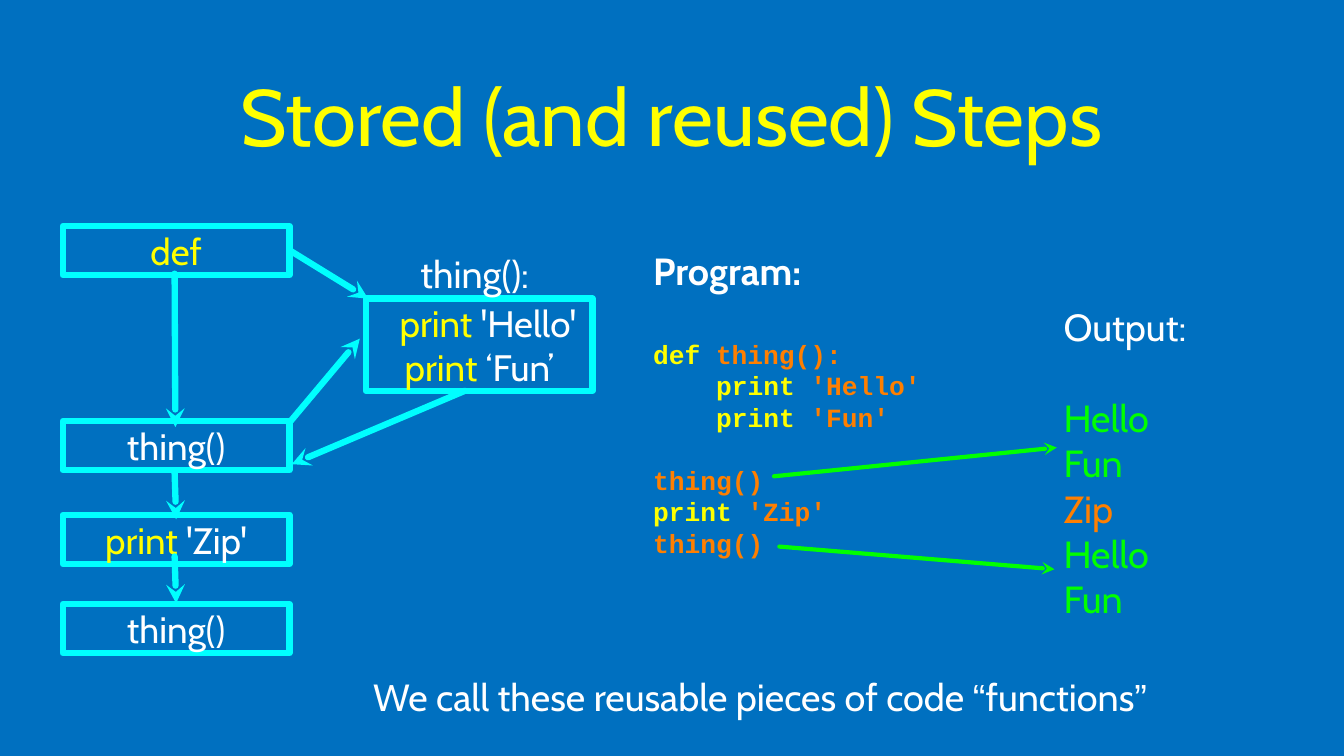
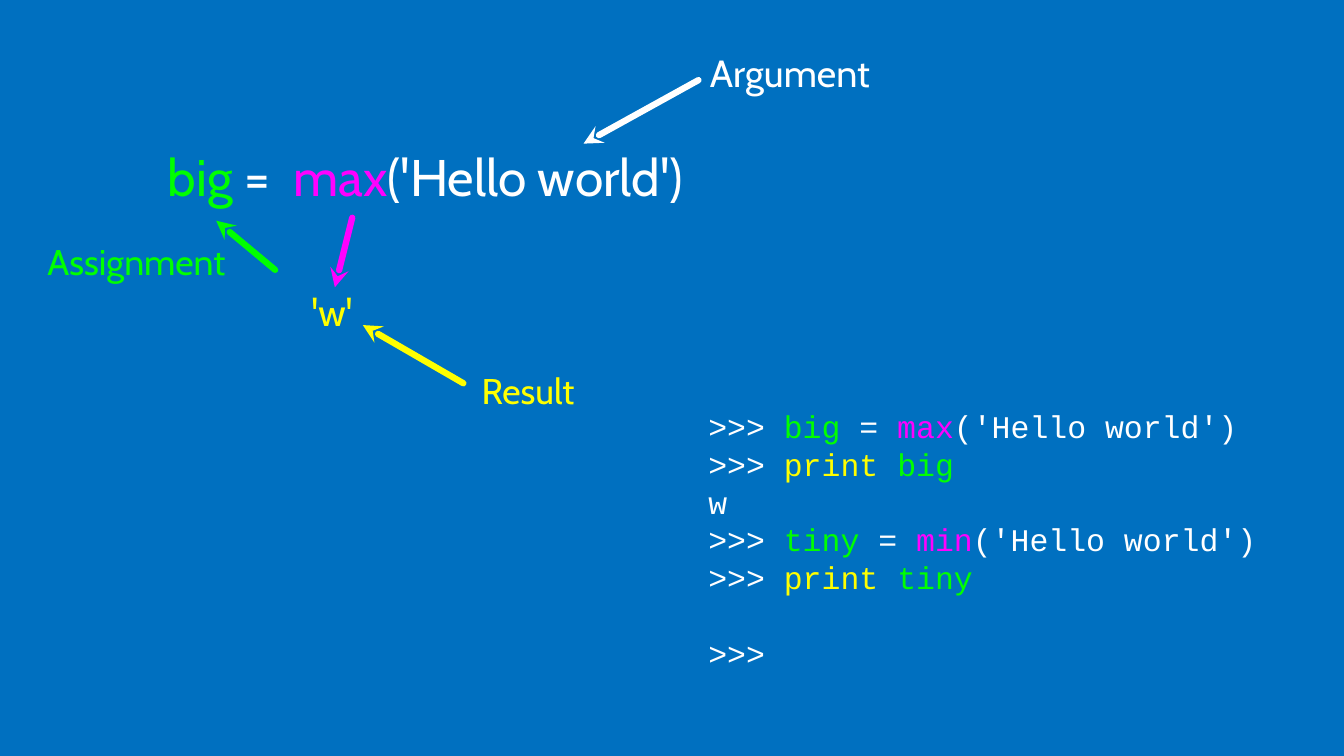
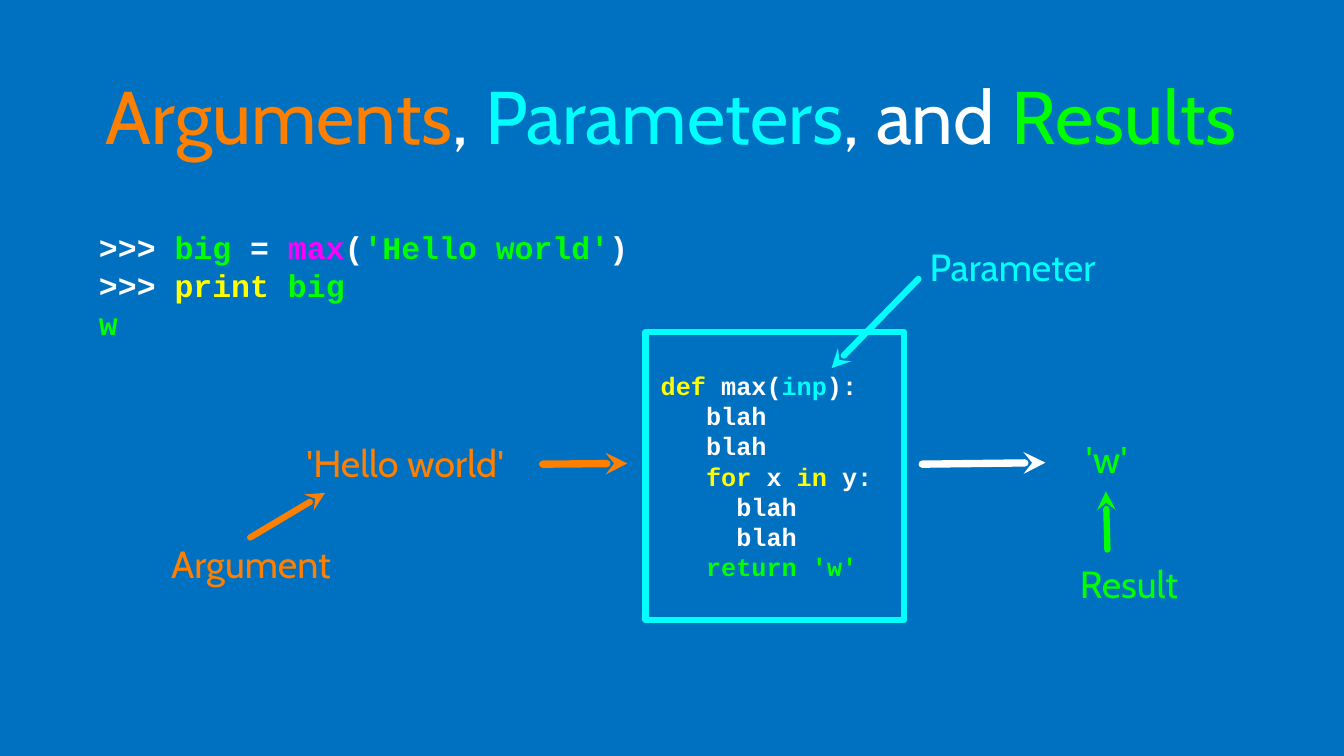
from pptx import Presentation
from pptx.dml.color import RGBColor as RGB
from pptx.enum.shapes import MSO_CONNECTOR as LINK, MSO_SHAPE as SHAPE
from pptx.enum.text import MSO_ANCHOR as ANCHOR, PP_ALIGN as ALIGN
from pptx.oxml.ns import qn
from pptx.util import Inches, Pt
from lxml.etree import SubElement

HUES = {
    "blue": "0070C0", "white": "FFFFFF", "yellow": "FFFF00", "cyan": "00FFFF",
    "green": "00FF00", "orange": "FF7F00", "pink": "FF00FF",
}
BODY, CODE, QUOTE = "Cabin", "Courier New", "Arial"
MID, LEFT = ALIGN.CENTER, ALIGN.LEFT
SIDE = 3
TALL = 0.65


def write(shape, lines, size=36, face=BODY, bold=False, align=MID, inset=0):
    frame = shape.text_frame
    frame.word_wrap = True
    frame.vertical_anchor = ANCHOR.MIDDLE
    frame.margin_left = frame.margin_right = Inches(inset)
    frame.margin_top = frame.margin_bottom = Inches(inset)
    for i, line in enumerate(lines):
        para = frame.paragraphs[0] if i == 0 else frame.add_paragraph()
        para.alignment = align
        style = {"size": size, "face": face, "bold": bold, "indent": 0, "gap": 0}
        if isinstance(line, dict):
            style.update(line)
            line = line["runs"]
        para.font.size = Pt(style["size"])
        para.font.bold = style["bold"]
        if all(len(part) == 2 for part in line):
            para.font.name = style["face"]
        if style["face"] == CODE:
            para.line_spacing = Pt(style["size"] * 1.2)
        if style["gap"]:
            para.space_before = Pt(style["gap"])
        if style["indent"]:
            step = Pt(style["size"] * 0.6 * style["indent"])
            para._p.get_or_add_pPr().set("marL", str(step))
        for hue, words, *font in line:
            run = para.add_run()
            run.text = words
            run.font.color.rgb = RGB.from_string(HUES[hue])
            if len(line[0]) == 3:
                run.font.name = font[0]


def arrow(slide, hue, start, tip, width=6):
    link = slide.shapes.add_connector(
        LINK.STRAIGHT, *[Inches(n) for n in (*start, *tip)])
    link.line.color.rgb = RGB.from_string(HUES[hue])
    link.line.width = Pt(width)
    edge = link.line._get_or_add_ln()
    edge.set("cap", "rnd")
    SubElement(edge, qn("a:tailEnd")).set("type", "stealth")
    SubElement(link._element.spPr, qn("a:effectLst"))


deck = Presentation()
deck.slide_width, deck.slide_height = Inches(17.78), Inches(10)
back = deck.slide_master.background.fill
back.solid()
back.fore_color.rgb = RGB.from_string(HUES["blue"])
titled, blank = deck.slide_layouts[5], deck.slide_layouts[6]
steps, call, parts = [deck.slides.add_slide(kind) for kind in (titled, blank, titled)]

heads = [
    (steps, 76, [("yellow", "Stored (and reused) Steps")]),
    (parts, 71, [("orange", "Arguments"), ("white", ", "), ("cyan", "Parameters"),
                 ("white", ", and "), ("green", "Results")]),
]
for slide, size, line in heads:
    title = slide.shapes.title
    title.left, title.top = Inches(1.26), Inches(0.26)
    title.width, title.height = Inches(15.24), Inches(2.51)
    write(title, [line], size, inset=0.04)

flow = {"size": 35}
source = {"size": 24, "face": CODE, "bold": True, "align": LEFT}
boxes = [
    (steps, (0.83, 2.99, SIDE, TALL), [[("yellow", "def")]], flow),
    (steps, (0.83, 5.57, SIDE, TALL), [[("white", "thing()")]], flow),
    (steps, (0.83, 6.81, SIDE, TALL), [[("yellow", "print "), ("white", "'Zip'")]], flow),
    (steps, (0.83, 7.99, SIDE, TALL), [[("white", "thing()")]], flow),
    (steps, (4.84, 3.95, SIDE, 1.22), [
        {"runs": [("yellow", "print"), ("white", " 'Hello'")], "indent": 0.8},
        [("yellow", "print"), ("white", " ‘Fun’")],
    ], flow),
    (parts, (8.54, 4.39, 3.42, 3.81), [
        {"indent": 1, "runs": [("yellow", "def"), ("white", " max("), ("cyan", "inp"),
                               ("white", "):")]},
        {"indent": 4, "runs": [("white", "blah")]},
        {"indent": 4, "runs": [("white", "blah")]},
        {"indent": 4, "runs": [("yellow", "for"), ("white", " x "), ("yellow", "in"),
                               ("white", " y:")]},
        {"indent": 6, "runs": [("white", "blah")]},
        {"indent": 6, "runs": [("white", "blah")]},
        {"indent": 4, "runs": [("green", "return 'w'")]},
    ], source),
]
for slide, place, lines, style in boxes:
    box = slide.shapes.add_shape(SHAPE.RECTANGLE, *[Inches(n) for n in place])
    box.shadow.inherit = False
    box.fill.background()
    box.line.color.rgb = RGB.from_string(HUES["cyan"])
    box.line.width = Pt(6)
    write(box, lines, **style)

prompt = ("white", ">>> ")
show = [prompt, ("yellow", "print "), ("green", "big")]
code = {"size": 25, "face": CODE}
shell = {"size": 30, "face": CODE, "align": LEFT}
plain = {}
left = {"align": LEFT}
small = {"size": 34}
notes = [
    (steps, (14.07, 4.07, 3.46, 4.1), [
        [("white", "Output:")],
        {"runs": [("green", "Hello")], "gap": 43},
        [("green", "Fun")],
        [("orange", "Zip")],
        [("green", "Hello")],
        [("green", "Fun")],
    ], left),
    (steps, (8.64, 3.25, 3.58, 4.16), [
        [("white", "Program:")],
        {**code, "gap": 43, "runs": [("yellow", "def"), ("orange", " thing():")]},
        {**code, "indent": 4, "runs": [("yellow", "print"), ("orange", " 'Hello'")]},
        {**code, "indent": 4, "runs": [("yellow", "print"), ("orange", " 'Fun'")]},
        {**code, "gap": 30, "runs": [("orange", "thing()")]},
        {**code, "runs": [("yellow", "print"), ("orange", " 'Zip'")]},
        {**code, "runs": [("orange", "thing()")]},
    ], {"bold": True, "align": LEFT}),
    (steps, (4.23, 8.87, 11.65, 0.68), [[
        ("white", "We call these reusable pieces of code ", BODY), ("white", "“", QUOTE),
        ("white", "functions", BODY), ("white", "”", QUOTE)]], plain),
    (steps, (5.51, 3.28, 1.54, 0.68), [[("white", "thing():")]], plain),
    (call, (9.37, 5.33, 7.64, 3.61), [
        [prompt, ("green", "big"), ("white", " = "), ("pink", "max"),
         ("white", "('Hello world')")],
        show,
        [("white", "w")],
        [prompt, ("green", "tiny"), ("white", " = "), ("pink", "min"),
         ("white", "('Hello world')")],
        [prompt, ("yellow", "print "), ("green", "tiny")],
        {"runs": [("white", ">>>")], "gap": 36},
    ], shell),
    (call, (2.22, 1.88, 7.42, 0.89), [[
        ("green", "big"), ("white", " =  "), ("pink", "max"),
        ("white", "('Hello world')")]], {"size": 49, "align": LEFT}),
    (call, (9.37, 0.62, 2.16, 0.68), [[("white", "Argument")]], plain),
    (call, (4.12, 3.78, 0.67, 0.68), [[("yellow", "'w'")]], left),
    (call, (6.29, 4.82, 1.39, 0.68), [[("yellow", "Result")]], small),
    (call, (0.37, 3.12, 2.87, 0.68), [[("green", "Assignment")]], small),
    (parts, (1.31, 2.86, 8.26, 1.82), [
        [prompt, ("green", "big"), ("white", " = "), ("pink", "max"), ("white", "("),
         ("green", "'Hello world'"), ("white", ")")],
        show,
        [("green", "w")],
    ], {**shell, "bold": True}),
    (parts, (3.8, 5.78, 3.12, 0.68), [[
        ("orange", "'", QUOTE), ("orange", "Hello world", BODY),
        ("orange", "'", QUOTE)]], plain),
    (parts, (14.29, 5.72, 0.7, 0.68), [[
        ("green", "'", QUOTE), ("green", "w", BODY), ("green", "'", QUOTE)]], plain),
    (parts, (2.24, 7.11, 2.16, 0.68), [[("orange", "Argument")]], plain),
    (parts, (12.28, 3.18, 2.23, 0.68), [[("cyan", "Parameter")]], plain),
    (parts, (14.24, 7.38, 1.39, 0.68), [[("green", "Result")]], plain),
]
for slide, place, lines, style in notes:
    write(slide.shapes.add_textbox(*[Inches(n) for n in place]), lines, **style)

arrows = [
    (steps, "cyan", (2.31, 3.62), (2.32, 5.65), 6),
    (steps, "cyan", (2.31, 6.25), (2.33, 6.87), 6),
    (steps, "cyan", (2.31, 7.36), (2.33, 7.98), 6),
    (steps, "cyan", (3.83, 3.31), (4.87, 3.95), 6),
    (steps, "cyan", (3.82, 5.6), (4.76, 4.48), 6),
    (steps, "cyan", (6.15, 5.17), (3.86, 6.14), 6),
    (steps, "green", (10.24, 6.3), (13.98, 5.92), 4),
    (steps, "green", (10.31, 7.23), (13.95, 7.53), 4),
    (call, "white", (9.24, 1.06), (7.72, 1.9), 6),
    (call, "yellow", (6.13, 5.07), (4.8, 4.3), 6),
    (call, "green", (3.64, 3.57), (2.86, 2.92), 6),
    (call, "pink", (4.66, 2.88), (4.43, 3.8), 6),
    (parts, "orange", (7.18, 6.14), (8.3, 6.13), 7),
    (parts, "white", (12.2, 6.14), (13.83, 6.12), 7),
    (parts, "orange", (3.31, 7.11), (4.3, 6.52), 6),
    (parts, "cyan", (12.15, 3.69), (11, 4.87), 6),
    (parts, "green", (14.65, 7.27), (14.63, 6.5), 6),
]
for item in arrows:
    arrow(*item)

deck.save("out.pptx")
